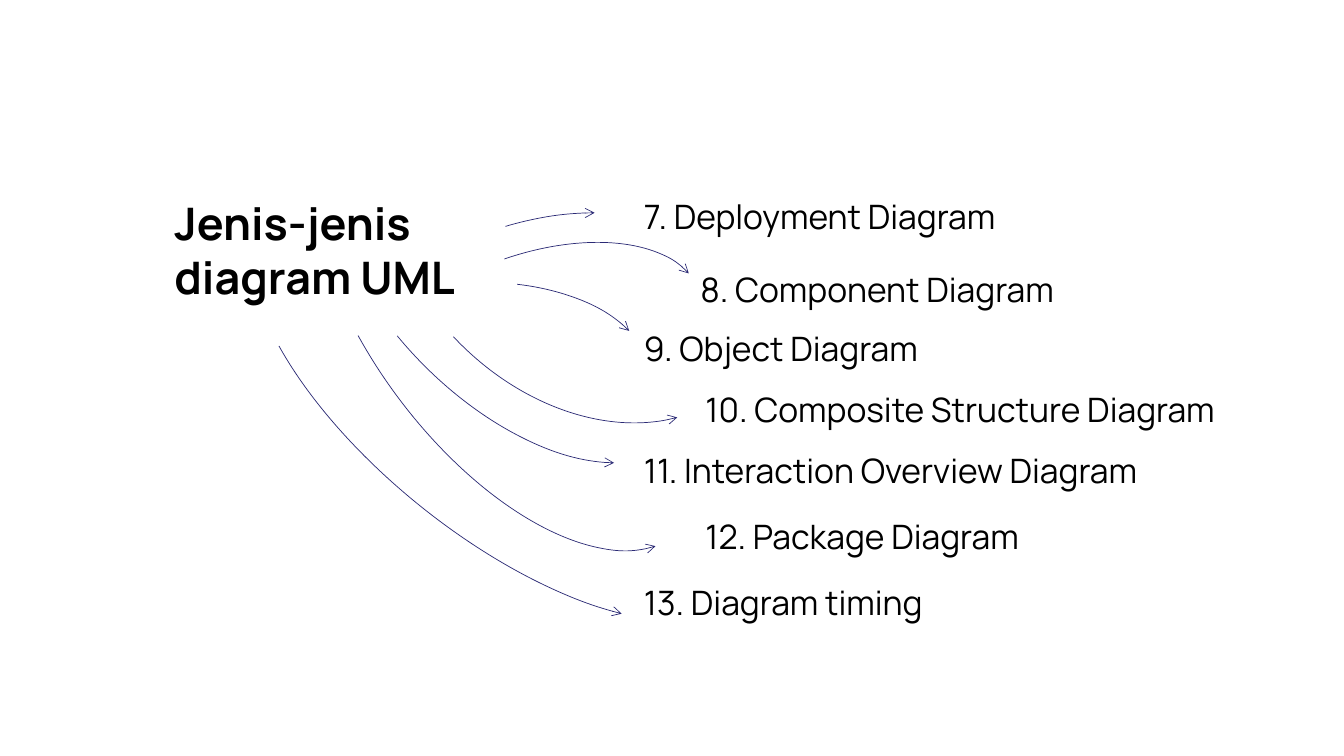
from dataclasses import dataclass

from lxml.etree import SubElement
from pptx import Presentation
from pptx.dml.color import RGBColor
from pptx.enum.shapes import MSO_SHAPE
from pptx.enum.text import MSO_ANCHOR, MSO_AUTO_SIZE, PP_ALIGN
from pptx.oxml.ns import qn
from pptx.util import Cm, Pt


@dataclass(frozen=True)
class Theme:
    font: str = "Manrope"
    text: RGBColor = RGBColor(0, 0, 0)
    arrow: RGBColor = RGBColor(0x2B, 0x2A, 0x75)
    title_size: Pt = Pt(32)
    label_size: Pt = Pt(24)
    arrow_width: Pt = Pt(0.5)


THEME = Theme()
LABEL_HEIGHT = 1.27

# Each diagram type: text, (left, top, width) in centimetres
LABELS = [
    ("7. Deployment Diagram", (15.98, 4.8, 10.85)),
    ("8. Component Diagram", (17.4, 6.65, 10.8)),
    ("9. Object Diagram", (15.98, 8.15, 8.94)),
    ("10. Composite Structure Diagram", (17.53, 9.68, 14.02)),
    ("11. Interaction Overview Diagram", (15.98, 11.2, 14.02)),
    ("12. Package Diagram", (17.53, 12.88, 13.21)),
    ("13. Diagram timing", (15.98, 14.55, 13.21)),
]

# Arrow to each label: (left, top, width, height), rotation, (start, end), flipped
ARROWS = [
    ((11.86, 3.43, 3.56, 7.75), 256.9, (206.24, 28.67), False),
    ((10.74, 4.37, 5.11, 9.32), 248.6, (4.97, 50.16), False),
    ((9.83, 5.31, 4.75, 8.36), 270, (11.76, 43.49), False),
    ((10.29, -0.15, 8.64, 11.43), 136.1, (215.19, 43.49), True),
    ((9.6, 0.66, 6.83, 12.09), 136.1, (207.86, 43.49), True),
    ((9.27, 0.74, 7.21, 14.12), 143.7, (200.01, 51.07), True),
    ((9.32, 2.31, 6.81, 15.57), 128.8, (177.12, 40.52), True),
]


def write_text(box, text, *, size, bold=False, align=PP_ALIGN.LEFT):
    frame = box.text_frame
    frame.word_wrap = True
    frame.auto_size = MSO_AUTO_SIZE.SHAPE_TO_FIT_TEXT
    frame.vertical_anchor = MSO_ANCHOR.TOP
    para = frame.paragraphs[0]
    para.alignment = align
    span = para.add_run()
    span.text = text
    span.font.name = THEME.font
    span.font.size = size
    span.font.bold = bold
    span.font.color.rgb = THEME.text


def add_title(page, text):
    box = page.shapes.title
    box.left, box.top, box.width, box.height = Cm(4.14), Cm(4.8), Cm(7.9), Cm(3)
    write_text(box, text, size=THEME.title_size, bold=True)


def add_label(page, text, place):
    left, top, width = map(Cm, place)
    box = page.shapes.add_textbox(left, top, width, Cm(LABEL_HEIGHT))
    write_text(box, text, size=THEME.label_size, align=PP_ALIGN.JUSTIFY)


def add_curved_arrow(page, place, rotation, angles, flipped):
    arc = page.shapes.add_shape(MSO_SHAPE.ARC, *map(Cm, place))
    arc.rotation = rotation
    arc.adjustments[0], arc.adjustments[1] = angles
    arc.shadow.inherit = False
    arc.fill.background()
    arc.line.color.rgb = THEME.arrow
    arc.line.width = THEME.arrow_width
    # Open arrowhead and vertical flip
    properties = arc.element.spPr
    SubElement(properties.find(qn("a:ln")), qn("a:tailEnd"), type="arrow")
    if flipped:
        properties.find(qn("a:xfrm")).set("flipV", "1")


def main():
    deck = Presentation()
    deck.slide_width, deck.slide_height = Cm(33.87), Cm(19.05)
    title_only = deck.slide_layouts[5]
    page = deck.slides.add_slide(title_only)

    # Heading
    add_title(page, "Jenis-jenis diagram UML")

    # Diagram types, each with its arrow
    for (text, place), arrow in zip(LABELS, ARROWS):
        add_label(page, text, place)
        add_curved_arrow(page, *arrow)

    deck.save("out.pptx")


if __name__ == "__main__":
    main()
